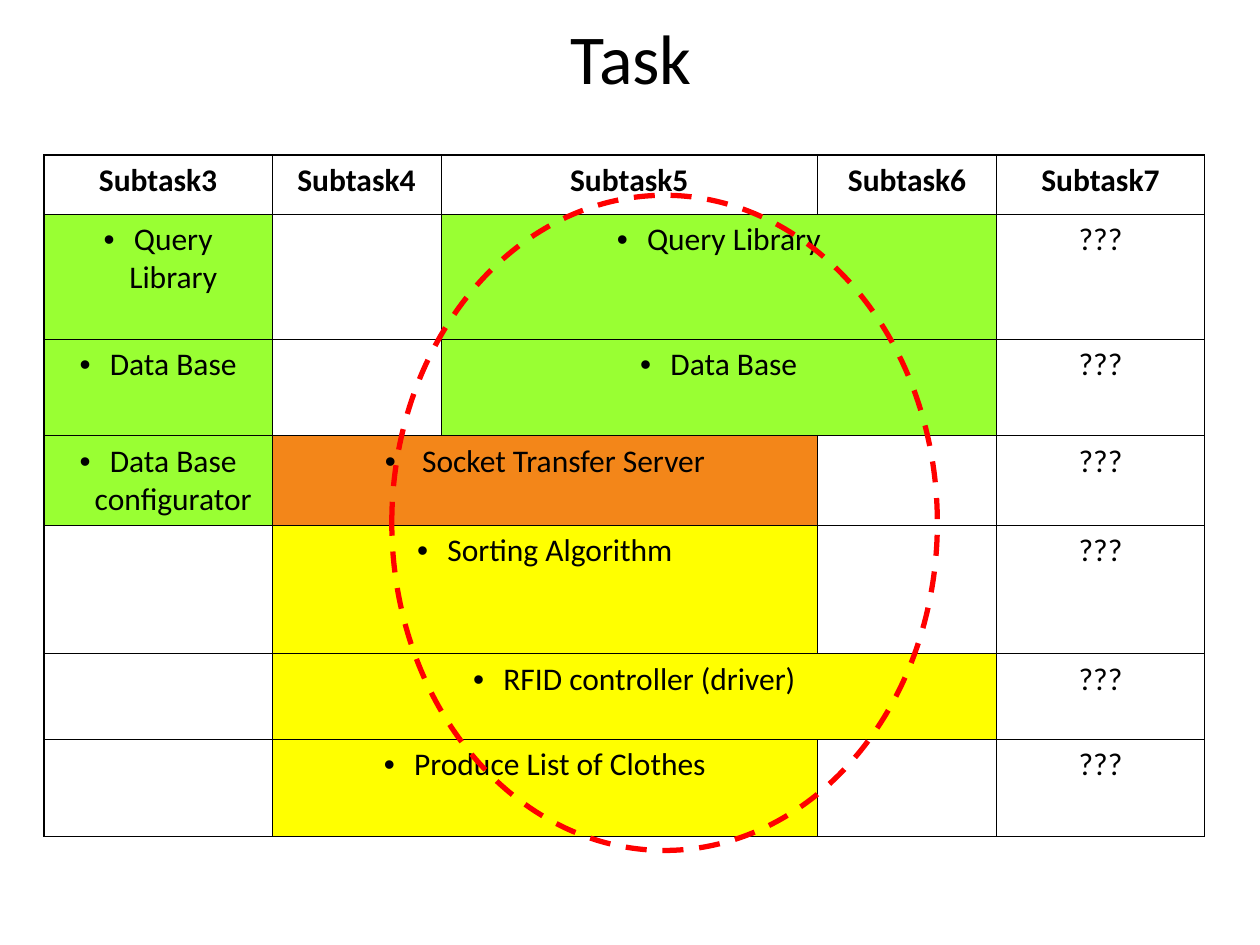
"""Build the subtask overview slide."""
from lxml.etree import SubElement
from pptx import Presentation
from pptx.dml.color import RGBColor
from pptx.enum.dml import MSO_LINE
from pptx.enum.shapes import MSO_SHAPE
from pptx.enum.text import MSO_ANCHOR, PP_ALIGN
from pptx.oxml.ns import qn
from pptx.util import Inches, Pt

GREEN, ORANGE, YELLOW, WHITE = "99FF33", "F38619", "FFFF00", "FFFFFF"
HEADERS = ["Subtask3", "Subtask4", "Subtask5", "Subtask6", "Subtask7"]
TASKS = [
    [(0, 1, "Query Library", GREEN), (2, 2, "Query Library", GREEN)],
    [(0, 1, "Data Base", GREEN), (2, 2, "Data Base", GREEN)],
    [(0, 1, "Data Base configurator", GREEN), (1, 2, " Socket Transfer Server", ORANGE)],
    [(1, 2, "Sorting Algorithm", YELLOW)],
    [(1, 3, "RFID controller (driver)", YELLOW)],
    [(1, 2, "Produce List of Clothes", YELLOW)],
]
UNKNOWN = "???"
COLUMN_WIDTHS = [1.81, 1.34, 2.99, 1.42, 1.65]
ROW_HEIGHTS = [0.47, 0.99, 0.77, 0.71, 1.02, 0.68, 0.77]
TITLE_FORMAT = {"name": "Calibri", "size": Pt(40), "bold": False}
HEADER_FORMAT = {"name": "Calibri", "size": Pt(18), "bold": True}
BODY_FORMAT = {**HEADER_FORMAT, "bold": False}
BULLET_INDENT = Inches(0.24)


def color(hex_string):
    return RGBColor.from_string(hex_string)


def write(paragraph, text, font_format):
    paragraph.alignment = PP_ALIGN.CENTER
    font = paragraph.font
    if text:
        run = paragraph.add_run()
        run.text = text
        font = run.font
    for name, value in font_format.items():
        setattr(font, name, value)
    font.color.rgb = color("000000")


def add_bullet(paragraph):
    properties = paragraph._p.get_or_add_pPr()
    properties.set("marL", str(BULLET_INDENT))
    properties.set("indent", str(-BULLET_INDENT))
    SubElement(properties, qn("a:buFont"), typeface="Arial")
    SubElement(properties, qn("a:buChar"), char="•")


def set_borders(cell, outer_sides):
    properties = cell._tc.get_or_add_tcPr()
    for side in "LRTB":
        width = Pt(1.08) if side in outer_sides else Pt(0.45)
        line = SubElement(properties, qn(f"a:ln{side}"), w=str(width))
        fill = SubElement(line, qn("a:solidFill"))
        SubElement(fill, qn("a:srgbClr"), val="000000")


def fill_cell(cell, text, fill_color, font_format, bulleted=False):
    cell.fill.solid()
    cell.fill.fore_color.rgb = color(fill_color)
    paragraph = cell.text_frame.paragraphs[0]
    paragraph.space_before = Pt(4.5)
    write(paragraph, text, font_format)
    if bulleted:
        add_bullet(paragraph)


def add_title(slide):
    box = slide.shapes.add_textbox(Inches(0.51), Inches(0.05), Inches(9), Inches(0.79))
    box.text_frame.word_wrap = True
    box.text_frame.vertical_anchor = MSO_ANCHOR.MIDDLE
    write(box.text_frame.paragraphs[0], "Task", TITLE_FORMAT)


def add_task_table(slide):
    row_count, column_count = len(ROW_HEIGHTS), len(COLUMN_WIDTHS)
    table = slide.shapes.add_table(
        row_count, column_count, Inches(0.35), Inches(1.23),
        Inches(sum(COLUMN_WIDTHS)), Inches(sum(ROW_HEIGHTS))).table
    table.first_row = table.horz_banding = False
    for column, width in zip(table.columns, COLUMN_WIDTHS):
        column.width = Inches(width)
    for row, height in zip(table.rows, ROW_HEIGHTS):
        row.height = Inches(height)

    for row in range(row_count):
        for column in range(column_count):
            edges = {"L": column == 0, "R": column == column_count - 1,
                     "T": row == 0, "B": row == row_count - 1}
            set_borders(table.cell(row, column), [side for side in edges if edges[side]])

    for column, header in enumerate(HEADERS):
        fill_cell(table.cell(0, column), header, WHITE, HEADER_FORMAT)
    for row, tasks in enumerate(TASKS, start=1):
        used = set()
        for column, span, text, fill_color in tasks:
            last = column + span - 1
            if span > 1:
                table.cell(row, column).merge(table.cell(row, last))
            fill_cell(table.cell(row, column), text, fill_color, BODY_FORMAT, bulleted=True)
            used.update(range(column, last + 1))
        for column in set(range(column_count)) - used:
            text = UNKNOWN if column == column_count - 1 else ""
            fill_cell(table.cell(row, column), text, WHITE, BODY_FORMAT)


def add_highlight(slide):
    ellipse = slide.shapes.add_shape(
        MSO_SHAPE.OVAL, Inches(3.11), Inches(1.55), Inches(4.33), Inches(5.2))
    ellipse.shadow.inherit = False
    ellipse.fill.background()
    ellipse.line.color.rgb = color("FF0000")
    for name, value in {"width": Pt(3), "dash_style": MSO_LINE.DASH}.items():
        setattr(ellipse.line, name, value)


def main():
    presentation = Presentation()
    presentation.slide_width, presentation.slide_height = Inches(10), Inches(7.5)
    slide = presentation.slides.add_slide(presentation.slide_layouts[6])
    add_title(slide)
    add_task_table(slide)
    add_highlight(slide)
    presentation.save("out.pptx")


if __name__ == "__main__":
    main()
